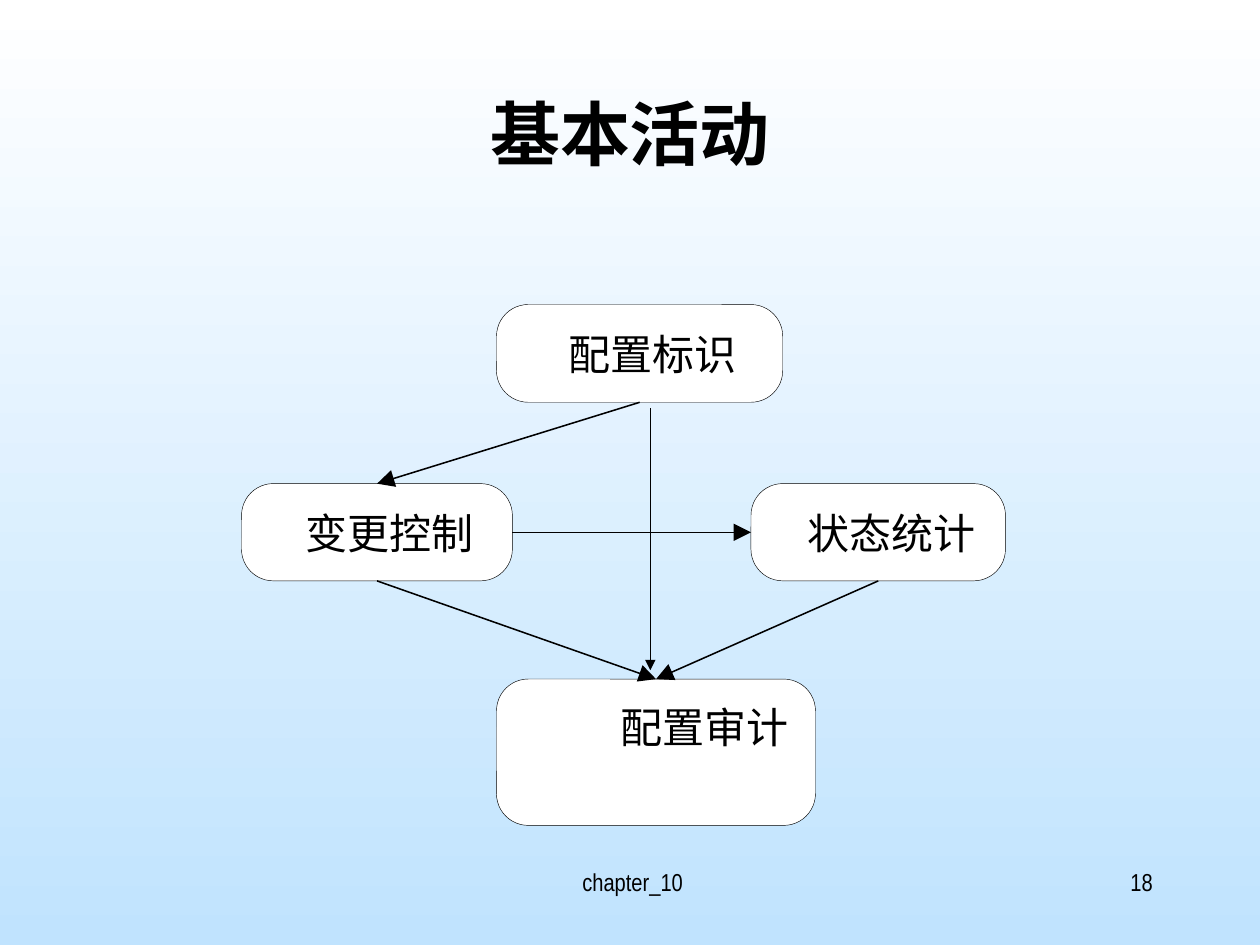
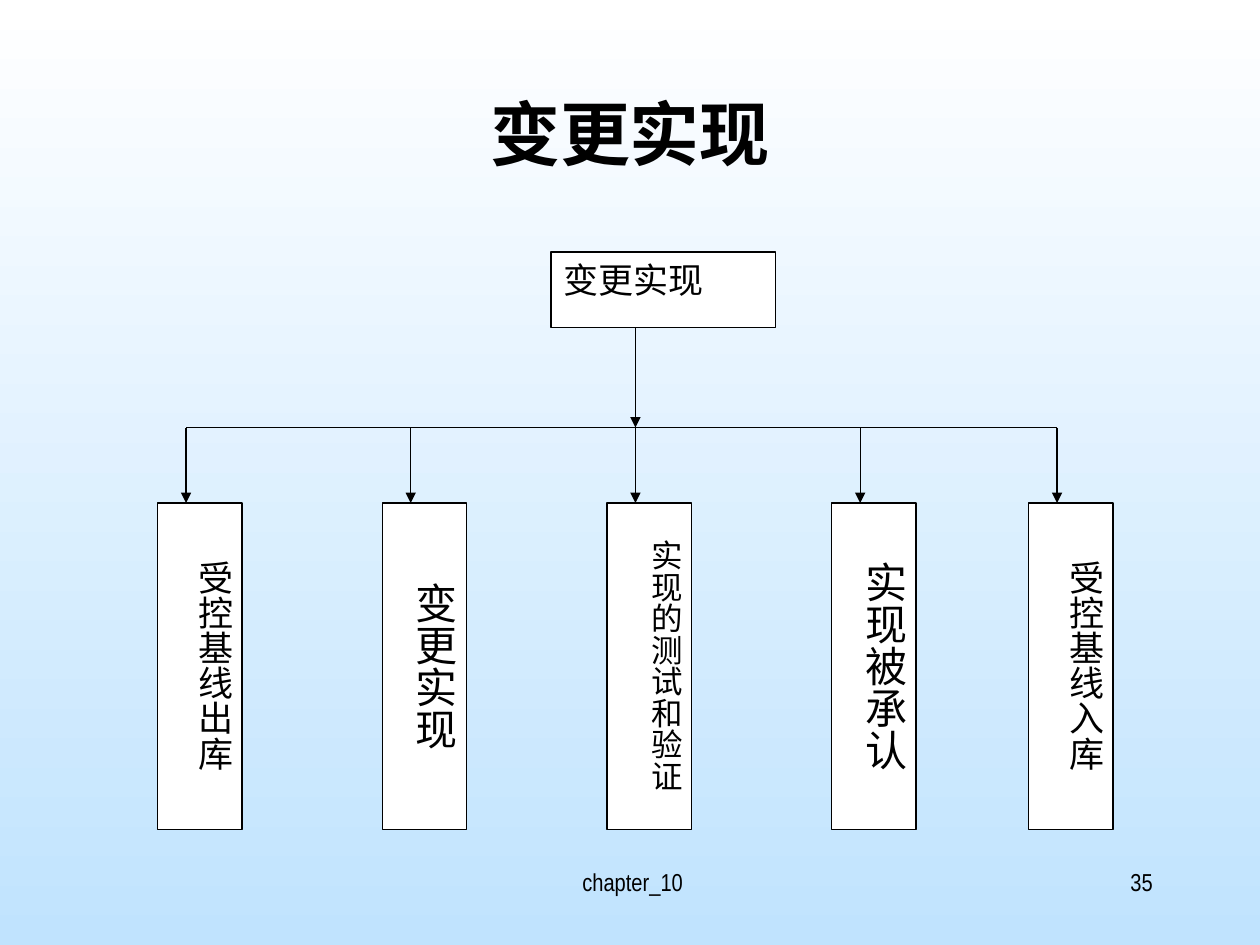
from typing import NamedTuple

from lxml.etree import SubElement as Sub
from pptx import Presentation
from pptx.dml.color import RGBColor as Rgb
from pptx.enum.shapes import MSO_CONNECTOR as Link, MSO_SHAPE as Kind
from pptx.enum.text import MSO_ANCHOR as Anchor, PP_ALIGN as Align
from pptx.oxml.ns import qn
from pptx.shapes.autoshape import Shape
from pptx.slide import Slide, SlideLayout as Layout
from pptx.util import Cm, Pt

BLACK, WHITE, SKY = "000000", "FFFFFF", "C0E3FE"
SANS, NARROW, SERIF = "Arial", "Arial Narrow", "Times New Roman"
CJK = "Noto Sans CJK SC"
ROUND = 0.64


class Point(NamedTuple):
    x: float
    y: float


class Area(NamedTuple):
    x: float
    y: float
    wide: float
    high: float

    def at(self, across: float, down: float) -> Point:
        return Point(self.x + self.wide * across, self.y + self.high * down)

    def cm(self) -> list[Cm]:
        return [Cm(side) for side in self]


class Style(NamedTuple):
    font: str
    size: float
    align: Align = Align.LEFT
    bold: bool = False


class Pad(NamedTuple):
    left: float = 0.25
    top: float = 0.13
    right: float = 0.25
    bottom: float = 0.13


class Node(NamedTuple):
    text: str
    area: Area
    pad: Pad


class Step(NamedTuple):
    text: str
    left: float
    size: float


TITLE = Area(1.9, 1.7, 21.6, 3.18)
FOOT = Area(8.73, 17.35, 8.05, 1.27)
PAGE = Area(18.21, 17.35, 5.28, 1.27)

MARK = Node("配置标识", Area(10.01, 6.14, 5.77, 1.97), Pad(1.26, 0.29, 0, 0))
EDIT = Node("变更控制", Area(4.87, 9.75, 5.46, 1.96), Pad(1.1, 0.29, 0, 0))
STATE = Node("状态统计", Area(15.14, 9.75, 5.13, 1.96), Pad(0.95, 0.29, 0, 0))
AUDIT = Node("配置审计", Area(10.01, 13.69, 6.43, 2.95), Pad(2.32, 0.27, 0, 0))

FIRST, GAP = 3.18, 4.53
STEPS = [
    Step("受控基线出库", FIRST, 20),
    Step("变更实现", FIRST + GAP, 24),
    Step("实现的测试和验证", FIRST + 2 * GAP, 18),
    Step("实现被承认", FIRST + 3 * GAP, 24),
    Step("受控基线入库", 20.74, 20),
]
ROOT = Area(11.11, 5.08, 4.52, 1.52)
BUS, TOP, DROP = 8.62, 10.14, 0.57


def tint(code: str) -> Rgb:
    return Rgb.from_string(code)


def write(shape: Shape, text: str, style: Style, pad: Pad = Pad()) -> None:
    frame = shape.text_frame
    frame.word_wrap = True
    frame.margin_left, frame.margin_top = Cm(pad.left), Cm(pad.top)
    frame.margin_right, frame.margin_bottom = Cm(pad.right), Cm(pad.bottom)
    line = frame.paragraphs[0]
    line.text, line.alignment = text, style.align
    font = line.font
    font.name, font.size, font.bold = style.font, Pt(style.size), style.bold
    font.color.rgb = tint(BLACK)


def box(slide: Slide, kind: Kind, area: Area, edge: float) -> Shape:
    shape = slide.shapes.add_shape(kind, *area.cm())
    shape.shadow.inherit = False
    shape.fill.solid()
    shape.fill.fore_color.rgb = tint(WHITE)
    shape.line.color.rgb = tint(BLACK)
    shape.line.width = Pt(edge)
    shape.text_frame.vertical_anchor = Anchor.TOP
    return shape


def join(slide: Slide, start: Point, end: Point, width: float,
         head: str = "") -> None:
    ends = [Cm(side) for side in (*start, *end)]
    line = slide.shapes.add_connector(Link.STRAIGHT, *ends)
    line.line.color.rgb = tint(BLACK)
    line.line.width = Pt(width)
    props = line.element.spPr
    if head:
        Sub(props.find(qn("a:ln")), qn("a:tailEnd"),
            {"type": "triangle", "w": head, "len": head})
    Sub(props, qn("a:effectLst"))


def setup(layout: Layout) -> None:
    fill = layout.slide_master.background.fill
    fill.gradient()
    fill.gradient_angle = 270
    for stop, code in zip(fill.gradient_stops, (WHITE, SKY)):
        stop.color.rgb = tint(code)
    title = layout.placeholders[0]
    title.left, title.top, title.width, title.height = TITLE.cm()
    title.text_frame.vertical_anchor = Anchor.TOP


def begin(deck: Presentation, layout: Layout, title: str, font: str,
          page: str) -> Slide:
    slide = deck.slides.add_slide(layout)
    write(slide.shapes.title, title, Style(font, 40, Align.CENTER, True))
    for text, area, align in (("chapter_10", FOOT, Align.CENTER),
                              (page, PAGE, Align.RIGHT)):
        note = slide.shapes.add_textbox(*area.cm())
        write(note, text, Style(NARROW, 14, align))
    return slide


def draw_acts(slide: Slide) -> None:
    for node in (MARK, AUDIT, STATE, EDIT):
        shape = box(slide, Kind.ROUNDED_RECTANGLE, node.area, 0.25)
        shape.adjustments[0] = ROUND / node.area.high
        write(shape, node.text, Style(SANS, 24), node.pad)
    top, low = (0.5, 0), (0.5, 1)
    for start, out, end, into in (
        (MARK, low, EDIT, top),
        (STATE, low, AUDIT, top),
        (EDIT, low, AUDIT, top),
        (EDIT, (1, 0.5), STATE, (0, 0.5)),
    ):
        join(slide, start.area.at(*out), end.area.at(*into), 0.88, "lg")
    join(slide, Point(13.11, 8.23), Point(13.11, 13.51), 0.88, "med")


def draw_steps(slide: Slide) -> None:
    root = box(slide, Kind.RECTANGLE, ROOT, 0.75)
    write(root, "变更实现", Style(SERIF, 20, Align.JUSTIFY))
    drops = [step.left + DROP for step in STEPS]
    join(slide, Point(drops[0], BUS), Point(drops[-1], BUS), 0.75)
    mid = drops[2]
    join(slide, Point(mid, ROOT.y + ROOT.high), Point(mid, BUS), 0.75, "med")
    for step, x in zip(STEPS, drops):
        shape = box(slide, Kind.RECTANGLE, Area(step.left, TOP, 1.7, 6.58), 0.75)
        body = shape.element.txBody.bodyPr
        body.set("vert", "eaVert")
        body.set("anchorCtr", "1")
        write(shape, step.text, Style(SERIF, step.size, Align.JUSTIFY),
              Pad(0.13, 0.25, 0.13, 0.25))
        join(slide, Point(x, BUS), Point(x, TOP), 0.75, "med")


def main() -> None:
    deck = Presentation()
    deck.slide_width, deck.slide_height = Cm(25.4), Cm(19.05)
    layout = deck.slide_layouts[5]
    setup(layout)
    draw_acts(begin(deck, layout, "基本活动", CJK, "18"))
    draw_steps(begin(deck, layout, "变更实现", NARROW, "35"))
    deck.save("out.pptx")


if __name__ == "__main__":
    main()
